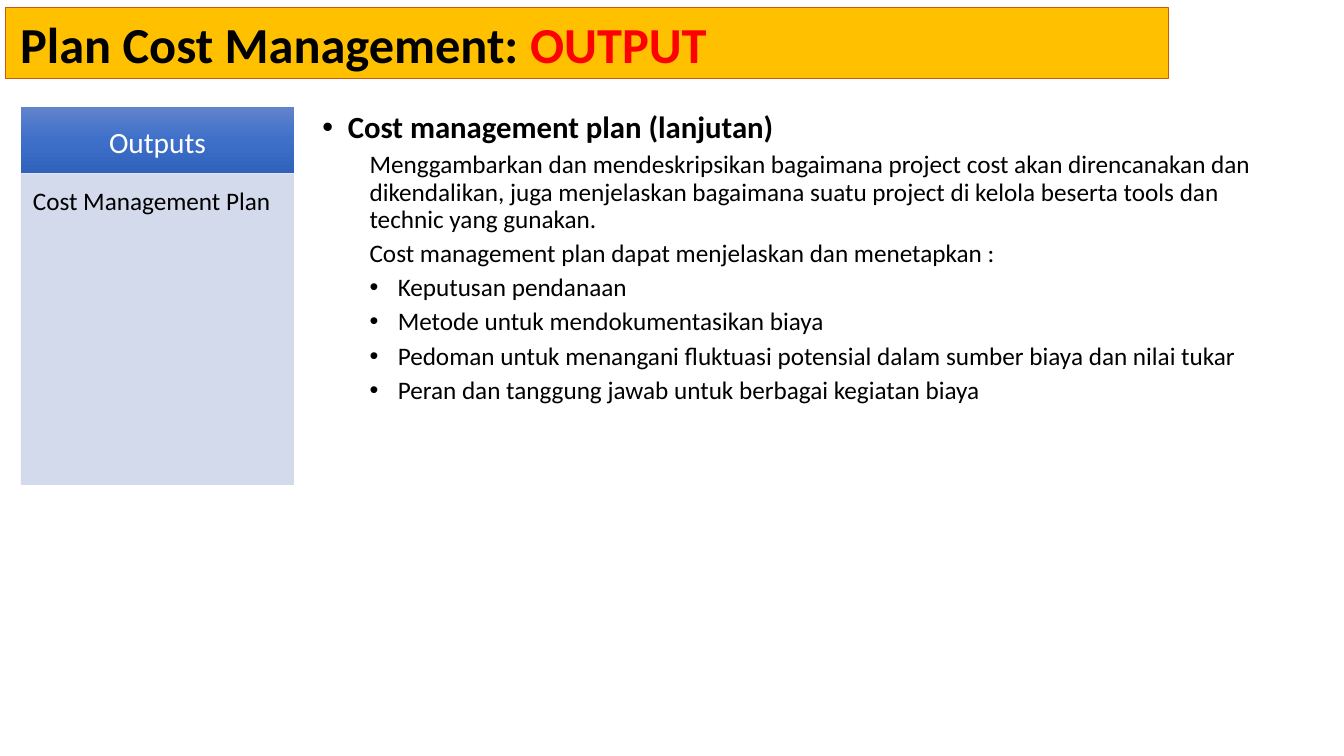
from copy import deepcopy

from lxml import etree
from pptx import Presentation
from pptx.dml.color import RGBColor
from pptx.enum.shapes import MSO_SHAPE
from pptx.enum.text import MSO_ANCHOR, MSO_AUTO_SIZE, PP_ALIGN
from pptx.oxml.ns import qn
from pptx.util import Cm, Pt

RECTANGLE = MSO_SHAPE.RECTANGLE
TOP, MIDDLE = MSO_ANCHOR.TOP, MSO_ANCHOR.MIDDLE
LEFT, CENTER, JUSTIFY = PP_ALIGN.LEFT, PP_ALIGN.CENTER, PP_ALIGN.JUSTIFY
NO_AUTOFIT = MSO_AUTO_SIZE.NONE

COLUMN_LEFT, COLUMN_WIDTH = 0.53, 6.88
CONTENT_TOP, HEADER_HEIGHT = 2.69, 1.68

HEADING = "Cost management plan (lanjutan)"
EXPLANATIONS = [
    "Menggambarkan dan mendeskripsikan bagaimana project cost akan direncanakan dan "
    "dikendalikan, juga menjelaskan bagaimana suatu project di kelola beserta tools "
    "dan technic yang gunakan.",
    "Cost management plan dapat menjelaskan dan menetapkan :",
]
PLAN_ITEMS = [
    "Keputusan pendanaan",
    "Metode untuk mendokumentasikan biaya",
    "Pedoman untuk menangani fluktuasi potensial dalam sumber biaya dan nilai tukar",
    "Peran dan tanggung jawab untuk berbagai kegiatan biaya",
]


def color(value):
    return RGBColor.from_string(value)


class SlideBuilder:
    font = "Calibri"
    black = "000000"
    white = "FFFFFF"

    def __init__(self, deck):
        self.page = deck.slides.add_slide(deck.slide_layouts[1])

    def place(self, shape, left, top, width, height):
        shape.left, shape.top = Cm(left), Cm(top)
        shape.width, shape.height = Cm(width), Cm(height)

    def style(self, span, size, shade, bold=False):
        span.font.name = self.font
        span.font.size = Pt(size)
        span.font.bold = bold
        span.font.color.rgb = color(shade)

    def title(self, parts, bounds, fill, line):
        title = self.page.shapes.title
        self.place(title, *bounds)
        title.fill.solid()
        title.fill.fore_color.rgb = color(fill)
        title.line.color.rgb = color(line)
        title.line.width = Pt(0.75)
        frame = title.text_frame
        frame.auto_size = NO_AUTOFIT
        frame.vertical_anchor = MIDDLE
        frame.margin_left = Cm(0.36)
        paragraph = frame.paragraphs[0]
        paragraph.alignment = LEFT
        for text, shade in parts:
            span = paragraph.add_run()
            span.text = text
            self.style(span, 36, shade, True)

    def panel(self, text, bounds, size, shade, anchor, alignment, margins):
        box = self.page.shapes.add_shape(RECTANGLE, *map(Cm, bounds))
        box.shadow.inherit = False
        box.line.fill.background()
        frame = box.text_frame
        frame.word_wrap = True
        frame.vertical_anchor = anchor
        frame.margin_left, frame.margin_top, frame.margin_right = map(Cm, margins)
        frame.text = text
        paragraph = frame.paragraphs[0]
        paragraph.alignment = alignment
        self.style(paragraph.runs[0], size, shade)
        return box

    def gradient(self, box, shades):
        box.fill.gradient()
        box.fill.gradient_angle = 270
        stop_list = box.element.spPr.find(".//" + qn("a:gsLst"))
        stop_list.insert(1, deepcopy(stop_list[0]))
        for index, shade in enumerate(shades):
            stop = box.fill.gradient_stops[index]
            stop.color.rgb = color(shade)
            stop.position = index / (len(shades) - 1)

    def translucent(self, box, shade, percent):
        box.fill.solid()
        box.fill.fore_color.rgb = color(shade)
        tint = box.element.spPr.find(qn("a:solidFill")).find(qn("a:srgbClr"))
        etree.SubElement(tint, qn("a:alpha"), val=str(percent * 1000))

    def body(self, entries, bounds):
        body = self.page.placeholders[1]
        self.place(body, *bounds)
        frame = body.text_frame
        frame.auto_size = NO_AUTOFIT
        frame.text = "\n".join(entry[0] for entry in entries)
        for paragraph, entry in zip(frame.paragraphs, entries):
            _, level, bullet, margin, hanging, size, before = entry
            paragraph.level = level
            self.bullet(paragraph, bullet, margin, hanging)
            paragraph.alignment = LEFT if level else JUSTIFY
            paragraph.line_spacing = 0.9
            paragraph.space_before = Pt(before)
            self.style(paragraph.runs[0], size, self.black, level == 0)

    def bullet(self, paragraph, shown, margin, hanging):
        properties = paragraph._p.get_or_add_pPr()
        properties.set("marL", str(Cm(margin)))
        properties.set("indent", str(-Cm(hanging)))
        if shown:
            etree.SubElement(properties, qn("a:buFont"), typeface="Arial")
            etree.SubElement(properties, qn("a:buChar"), char="•")
        else:
            etree.SubElement(properties, qn("a:buNone"))


def main():
    deck = Presentation()
    deck.slide_width, deck.slide_height = Cm(33.87), Cm(19.05)
    builder = SlideBuilder(deck)

    builder.title(
        [("Plan Cost Management: ", builder.black), ("OUTPUT", "FF0000")],
        (0.15, 0.2, 29.29, 1.78), "FFC000", "C55A11",
    )

    header = builder.panel(
        "Outputs", (COLUMN_LEFT, CONTENT_TOP, COLUMN_WIDTH, HEADER_HEIGHT),
        21, builder.white, MIDDLE, CENTER, (0.4, 0.23, 0.4),
    )
    builder.gradient(header, ["6183CB", "3E70CA", "3062BB"])

    outputs = builder.panel(
        "Cost Management Plan",
        (COLUMN_LEFT, CONTENT_TOP + HEADER_HEIGHT, COLUMN_WIDTH, 7.85),
        18, builder.black, TOP, LEFT, (0.3, 0.3, 0.4),
    )
    builder.translucent(outputs, "CFD6EA", 90)

    entries = [(HEADING, 0, True, 0.64, 0.64, 22, 0)]
    entries += [(text, 1, False, 1.19, 0, 18, 5) for text in EXPLANATIONS]
    entries += [(text, 1, True, 1.9, 0.71, 18, 5) for text in PLAN_ITEMS]
    builder.body(entries, (7.87, CONTENT_TOP, 24.84, 15.77))

    deck.save("out.pptx")


if __name__ == "__main__":
    main()
